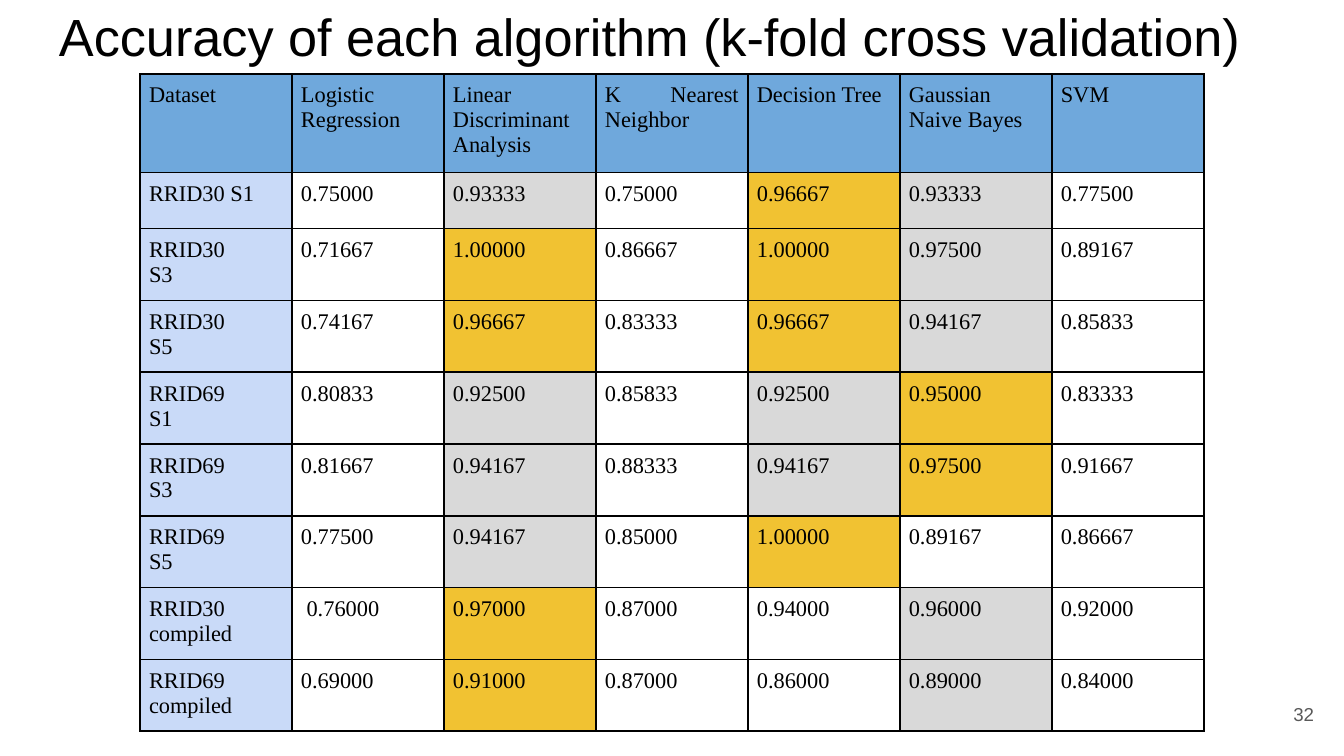
from dataclasses import dataclass

from lxml import etree
from pptx import Presentation
from pptx.dml.color import RGBColor
from pptx.enum.text import MSO_ANCHOR, MSO_AUTO_SIZE, PP_ALIGN
from pptx.oxml.ns import qn
from pptx.util import Emu, Pt

LEFT, RIGHT, JUSTIFY = PP_ALIGN.LEFT, PP_ALIGN.RIGHT, PP_ALIGN.JUSTIFY
TOP, MIDDLE = MSO_ANCHOR.TOP, MSO_ANCHOR.MIDDLE
NO_AUTOFIT = MSO_AUTO_SIZE.NONE
EMU_PER_PX = 914400 / 134.4
TITLE_ONLY = 5


@dataclass(frozen=True)
class Theme:
    """Colours, fonts and type sizes of the slide."""
    ink: str = "000000"
    muted: str = "595959"
    header: str = "6FA8DC"
    dataset: str = "C9DAF8"
    best: str = "F1C232"
    second: str = "D9D9D9"
    sans: str = "Arial"
    serif: str = "Times New Roman"
    title_size: int = 28
    cell_size: int = 12
    number_size: int = 10
    border: int = 1


THEME = Theme()

HEADERS = ["Dataset", "Logistic Regression", "Linear Discriminant Analysis",
           "K Nearest Neighbor", "Decision Tree", "Gaussian Naive Bayes", "SVM"]
RESULTS = [
    ["RRID30 S1", "0.75000", "0.93333", "0.75000", "0.96667", "0.93333", "0.77500"],
    ["RRID30\nS3", "0.71667", "1.00000", "0.86667", "1.00000", "0.97500", "0.89167"],
    ["RRID30\nS5", "0.74167", "0.96667", "0.83333", "0.96667", "0.94167", "0.85833"],
    ["RRID69\nS1", "0.80833", "0.92500", "0.85833", "0.92500", "0.95000", "0.83333"],
    ["RRID69\nS3", "0.81667", "0.94167", "0.88333", "0.94167", "0.97500", "0.91667"],
    ["RRID69\nS5", "0.77500", "0.94167", "0.85000", "1.00000", "0.89167", "0.86667"],
    ["RRID30 compiled", " 0.76000", "0.97000", "0.87000", "0.94000", "0.96000", "0.92000"],
    ["RRID69\ncompiled", "0.69000", "0.91000", "0.87000", "0.86000", "0.89000", "0.84000"],
]


def px(n):
    """Turn whole pixels into EMU."""
    return Emu(round(n * EMU_PER_PX))


def set_text(tf, text, size, color, font, align, margin, anchor):
    """Fill a text frame with uniformly formatted paragraphs."""
    tf.text = text
    tf.word_wrap = True
    tf.vertical_anchor = anchor
    tf.margin_left = tf.margin_right = tf.margin_top = tf.margin_bottom = px(margin)
    for p in tf.paragraphs:
        format_paragraph(p, size, color, font, align)


def format_paragraph(p, size, color, font, align):
    """Set alignment and font of one paragraph."""
    p.alignment = align
    p.font.size = Pt(size)
    p.font.name = font
    p.font.color.rgb = RGBColor.from_string(color)


def add_title(s, text):
    """Place and format the slide title."""
    sp = s.shapes.title
    sp.left, sp.top, sp.width, sp.height = px(46), px(-9), px(1252), px(85)
    set_text(sp.text_frame, text, THEME.title_size, THEME.ink, THEME.sans, LEFT, 13, TOP)
    sp.text_frame.auto_size = NO_AUTOFIT


def add_page_number(s, text):
    """Add the page number at the lower right."""
    sp = s.shapes.add_textbox(px(1246), px(685), px(81), px(58))
    set_text(sp.text_frame, text, THEME.number_size, THEME.muted, THEME.sans, RIGHT, 13, MIDDLE)


def add_borders(cell):
    """Draw a solid line on all four sides of a cell."""
    tc_pr = cell._tc.get_or_add_tcPr()
    for side in ("a:lnL", "a:lnR", "a:lnT", "a:lnB"):
        ln = etree.SubElement(tc_pr, qn(side), w=str(Pt(THEME.border)))
        fill = etree.SubElement(ln, qn("a:solidFill"))
        etree.SubElement(fill, qn("a:srgbClr"), val=THEME.ink)


def format_cell(cell, text, fill):
    """Write one table cell with its borders and fill."""
    add_borders(cell)
    if fill:
        cell.fill.solid()
        cell.fill.fore_color.rgb = RGBColor.from_string(fill)
    else:
        cell.fill.background()
    cell.text = text
    cell.vertical_anchor = TOP
    cell.margin_left = cell.margin_right = cell.margin_top = cell.margin_bottom = px(9)
    for p in cell.text_frame.paragraphs:
        format_paragraph(p, THEME.cell_size, THEME.ink, THEME.serif, JUSTIFY)


def row_fills(scores):
    """Colour the dataset name, the best score and the second best score."""
    values = [float(score) for score in scores]
    best, second = sorted(set(values), reverse=True)[:2]
    marks = {best: THEME.best, second: THEME.second}
    return [THEME.dataset] + [marks.get(value) for value in values]


def add_accuracy_table(s, headers, results):
    """Add the table of accuracies by dataset and algorithm."""
    n_rows, n_cols = len(results) + 1, len(headers)
    col_width, row_height = 152, 56
    frame = s.shapes.add_table(n_rows, n_cols, px(140), px(74),
                               px(n_cols * col_width), px(n_rows * row_height))
    table = frame.table
    table.first_row = table.horz_banding = False
    for col in table.columns:
        col.width = px(col_width)
    for row in table.rows:
        row.height = px(row_height)
    fills = [[THEME.header] * n_cols] + [row_fills(row[1:]) for row in results]
    for i, (texts, colors) in enumerate(zip([headers] + results, fills)):
        for j, (text, color) in enumerate(zip(texts, colors)):
            format_cell(table.cell(i, j), text, color)


def main():
    """Build and save the slide."""
    prs = Presentation()
    prs.slide_width, prs.slide_height = px(1344), px(756)
    s = prs.slides.add_slide(prs.slide_layouts[TITLE_ONLY])
    add_title(s, "Accuracy of each algorithm (k-fold cross validation)")
    add_page_number(s, "32")
    add_accuracy_table(s, HEADERS, RESULTS)
    prs.save("out.pptx")


if __name__ == "__main__":
    main()
